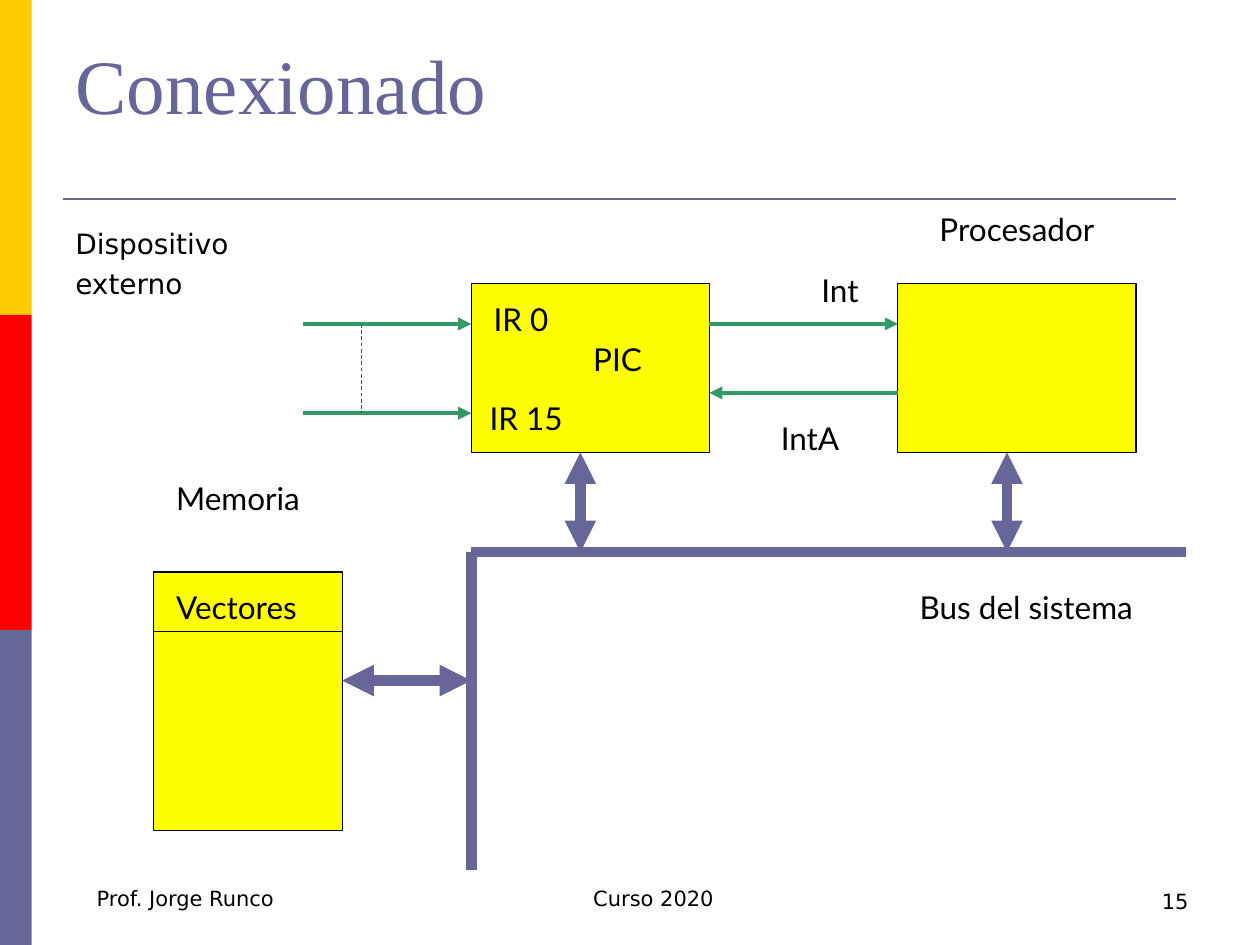
from lxml import etree
from pptx import Presentation
from pptx import util as u
from pptx.dml.color import RGBColor
from pptx.enum import dml, shapes, text
from pptx.oxml.ns import qn

Cm, Pt = u.Cm, u.Pt
INK = {
    "gold": "FFCC00", "red": "FF0000", "slate": "666699", "box": "FFFF00",
    "sign": "339966", "dash": "008000", "black": "000000",
}
SANS, LATO, SERIF = "DejaVu Sans", "Lato", "Times New Roman"


def ink(name):
    return RGBColor.from_string(INK[name])


def style(frame, size, font, color="black", align=text.PP_ALIGN.LEFT):
    for par in frame.paragraphs:
        par.alignment = align
        for run in par.runs:
            run.font.size = Pt(size)
            run.font.name = font
            run.font.color.rgb = ink(color)


def label(slide, words, x, y, w, h=1.02, size=18, font=LATO,
          align=text.PP_ALIGN.LEFT):
    box = slide.shapes.add_textbox(Cm(x), Cm(y), Cm(w), Cm(h))
    frame = box.text_frame
    frame.word_wrap = True
    frame.text = words
    style(frame, size, font, align=align)
    return frame


def rect(slide, x, y, w, h, fill, edge=None):
    box = slide.shapes.add_shape(
        shapes.MSO_SHAPE.RECTANGLE, Cm(x), Cm(y), Cm(w), Cm(h))
    box.shadow.inherit = False
    box.fill.solid()
    box.fill.fore_color.rgb = ink(fill)
    if edge:
        box.line.color.rgb = ink(edge)
        box.line.width = Pt(0.75)
    else:
        box.line.fill.background()


def wire(slide, x1, y1, x2, y2, color, width, ends=(), dash=None):
    """Draw a line; ends lists which of headEnd and tailEnd get a triangle."""
    line = slide.shapes.add_connector(
        shapes.MSO_CONNECTOR.STRAIGHT, Cm(x1), Cm(y1), Cm(x2), Cm(y2))
    line.line.color.rgb = ink(color)
    line.line.width = Pt(width)
    if dash:
        line.line.dash_style = dash
    props = line._element.spPr
    for end in ends:
        etree.SubElement(props.find(qn("a:ln")), qn("a:" + end), type="triangle")
    etree.SubElement(props, qn("a:effectLst"))


def signal(slide, x1, x2, y):
    wire(slide, x1, y, x2, y, "sign", 2.5, ["tailEnd"])


def link(slide, x1, y1, x2, y2):
    """Two-way arrow between a unit and the bus."""
    wire(slide, x1, y1, x2, y2, "slate", 6, ["headEnd", "tailEnd"])


def frame_page(slide, high):
    step = high / 3
    for i, color in enumerate(["gold", "red", "slate"]):
        rect(slide, 0, i * step, 0.64, step, color)
    wire(slide, 1.27, 4.01, 23.7, 4.01, "slate", 1.5)
    foot = dict(size=12, font=SANS)
    label(slide, "Prof. Jorge Runco", 1.7, 17.73, 5, 0.76, **foot)
    label(slide, "Curso 2020", 11.71, 17.73, 3.61, 0.76, **foot)
    label(slide, "15", 18.29, 17.78, 5.92, 1.27,
          align=text.PP_ALIGN.RIGHT, **foot)


def head(slide, x, y, w, h):
    title = slide.shapes.title
    title.left, title.top, title.width, title.height = map(Cm, (x, y, w, h))
    frame = title.text_frame
    frame.text = "Conexionado"
    frame.auto_size = text.MSO_AUTO_SIZE.NONE
    frame.vertical_anchor = text.MSO_ANCHOR.BOTTOM
    style(frame, 44, SERIF, "slate")


def device(slide, x, y, w, h):
    frame = label(slide, "Dispositivo\nexterno", x, y, w, h, 16, SANS)
    frame.paragraphs[1].space_before = Pt(3.7)


def memory(slide, x, y, w, h, bus):
    rect(slide, x, y, w, h, "box", "black")
    wire(slide, x, y + 1.2, x + w, y + 1.2, "black", 0.75)
    label(slide, "Memoria", x + 0.2, y - 2, 4)
    label(slide, "Vectores", x + 0.2, y + 0.2, 3.6)
    link(slide, x + w, y + 2.19, bus, y + 2.19)


def pic(slide, x, y, w, h, bus):
    rect(slide, x, y, w, h, "box", "black")
    rows = y + 0.81, y + 2.61
    for row in rows:
        signal(slide, x - 3.4, x, row)
    wire(slide, x - 2.21, rows[0], x - 2.21, rows[1], "dash", 0.5,
         dash=dml.MSO_LINE.DASH)
    label(slide, "IR 0", x + 0.2, y + 0.2, 2.4)
    label(slide, "PIC", x + 2.21, y + 1.01, 2.2)
    label(slide, "IR 15", x + 0.12, y + 2.2, 3.2)
    link(slide, x + 2.2, y + h, x + 2.2, bus)


def cpu(slide, x, y, w, h, bus, gap):
    """Processor, with the signals that cross the gap to the PIC."""
    rect(slide, x, y, w, h, "box", "black")
    signal(slide, x - gap, x, y + 0.81)
    signal(slide, x, x - gap, y + 2.2)
    label(slide, "Procesador", x + 0.59, y - 1.61, 5.2)
    label(slide, "Int", x - 1.79, y - 0.39, 2)
    label(slide, "IntA", x - 2.61, y + 2.61, 2.4)
    link(slide, x + 2.2, y + h, x + 2.2, bus)


def bus_line(slide, x, y, w, h):
    wire(slide, x, y + h, x, y, "slate", 6)
    wire(slide, x, y, x + w, y, "slate", 6)
    label(slide, "Bus del sistema", x + w - 5.61, y + 0.6, 5.8)


def main():
    deck = Presentation()
    deck.slide_width, deck.slide_height = Cm(25.4), Cm(19.05)
    slide = deck.slides.add_slide(deck.slide_layouts[5])
    left, top, wide, high, gap = 9.5, 5.72, 4.8, 3.4, 3.8
    bus = 11.13
    frame_page(slide, 19.05)
    head(slide, 1.27, 0.76, 22.86, 1.98)
    device(slide, 1.27, 4.45, 7, 1.8)
    bus_line(slide, left, bus, 14.4, 6.4)
    memory(slide, 3.1, 11.53, 3.8, 5.21, left)
    pic(slide, left, top, wide, high, bus)
    cpu(slide, left + wide + gap, top, wide, high, bus, gap)
    deck.save("out.pptx")


if __name__ == "__main__":
    main()
